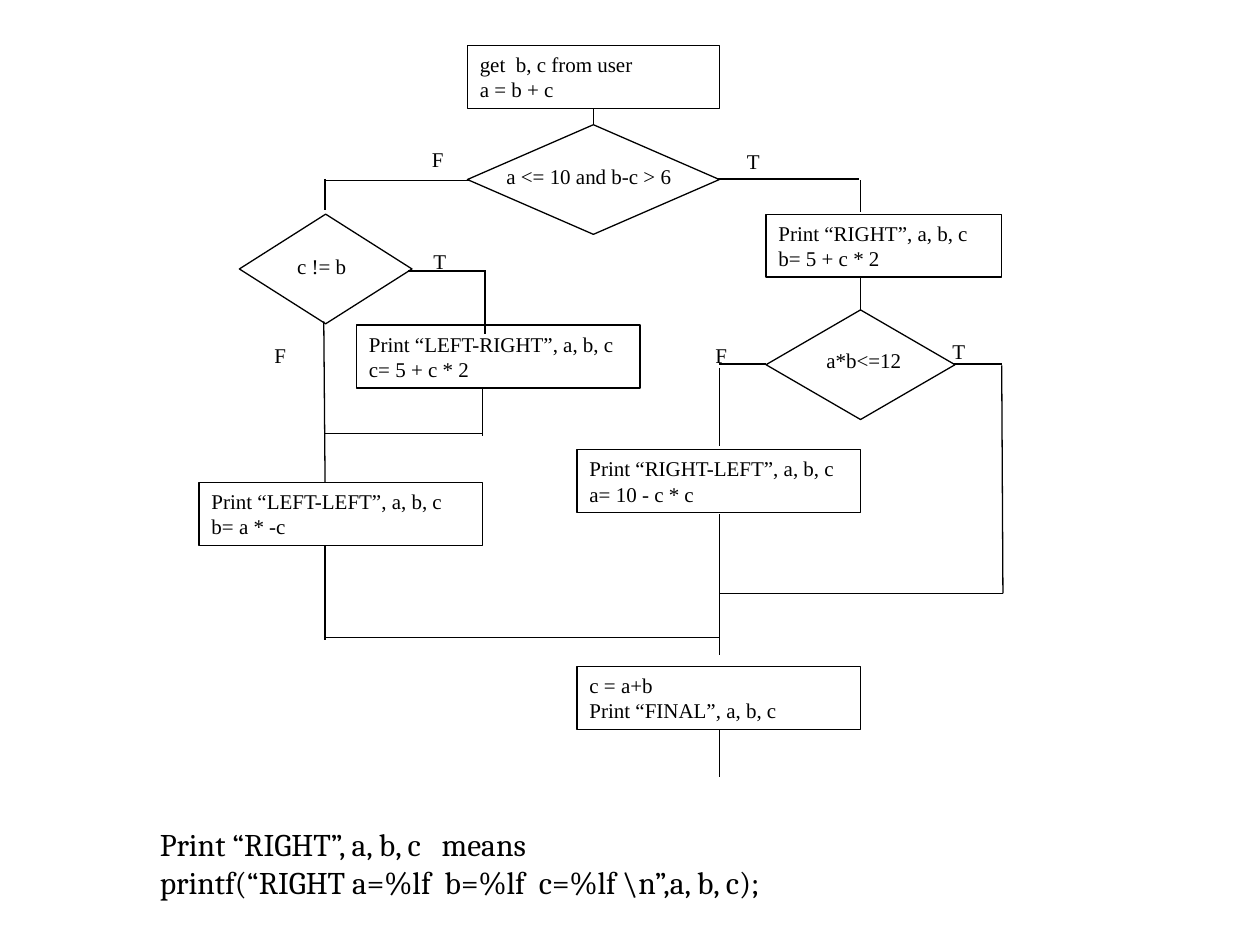
from pptx import Presentation
from pptx.dml.color import RGBColor
from pptx.enum.shapes import MSO_CONNECTOR as Connector, MSO_SHAPE as Shape
from pptx.enum.text import MSO_ANCHOR as Anchor, PP_ALIGN as Align
from pptx.util import Inches, Pt
from lxml import etree

COLORS = {"ink": "000000"}
BOX_HEIGHT = 0.5
DIAMOND_HEIGHT = 0.87

steps = [
    (3.71, 0.36, 2, ["get  b, c from user", "a = b + c"]),
    (6.08, 1.7, 1.87, ["Print “RIGHT”, a, b, c", "b= 5 + c * 2"]),
    (2.83, 2.58, 2.25, ["Print “LEFT-RIGHT”, a, b, c", "c= 5 + c * 2"]),
    (4.58, 3.57, 2.25, ["Print “RIGHT-LEFT”, a, b, c", "a= 10 - c * c"]),
    (1.58, 3.83, 2.25, ["Print “LEFT-LEFT”, a, b, c", "b= a * -c"]),
    (4.58, 5.29, 2.25, ["c = a+b", "Print “FINAL”, a, b, c"]),
]
decisions = [(3.71, 0.99, 2), (1.9, 1.7, 1.37), (6.08, 2.46, 1.5)]
labels = [
    (3.92, 1.25, 1.62, 0.5, "a <= 10 and b-c > 6"),
    (2.26, 1.96, 0.62, 0.37, "c != b"),
    (6.46, 2.71, 0.87, 0.37, "a*b<=12"),
    (3.33, 1.11, 0.37, 0.25, "F"),
    (5.83, 1.13, 0.5, 0.25, "T"),
    (2.08, 2.67, 0.5, 0.25, "F"),
    (3.34, 1.92, 0.49, 0.25, "T"),
    (5.58, 2.67, 0.5, 0.25, "F"),
    (7.46, 2.64, 0.5, 0.25, "T"),
]
lines = [
    (4.71, 0.99, 4.71, 0.86),
    (5.7, 1.42, 6.82, 1.42),
    (6.83, 1.43, 6.83, 1.68),
    (2.59, 1.43, 3.72, 1.43),
    (2.58, 1.42, 2.58, 1.67),
    (3.24, 2.15, 3.86, 2.15),
    (3.85, 2.15, 3.85, 2.65),
    (3.83, 3.08, 3.83, 3.46),
    (3.83, 3.44, 2.58, 3.44),
    (2.57, 2.55, 2.58, 3.83),
    (2.58, 4.33, 2.58, 5.08),
    (5.71, 5.06, 2.58, 5.06),
    (6.83, 2.21, 6.83, 2.46),
    (6.08, 2.89, 5.71, 2.89),
    (5.71, 2.92, 5.71, 3.54),
    (5.71, 4.08, 5.71, 4.7),
    (5.71, 4.7, 5.71, 5.2),
    (7.57, 2.89, 7.95, 2.89),
    (7.95, 2.9, 7.96, 4.71),
    (7.96, 4.71, 5.71, 4.71),
    (5.71, 5.79, 5.71, 6.17),
]
note = ["Print “RIGHT”, a, b, c   means",
        "printf(“RIGHT a=%lf  b=%lf  c=%lf \\n”,a, b, c);"]


def ink():
    return RGBColor.from_string(COLORS["ink"])


def write(shape, texts, size=12, font="Times New Roman"):
    frame = shape.text_frame
    frame.word_wrap = True
    frame.vertical_anchor = Anchor.TOP
    for index, text in enumerate(texts):
        para = frame.paragraphs[0] if index == 0 else frame.add_paragraph()
        para.text = text
        para.alignment = Align.LEFT
        para.font.size = Pt(size)
        para.font.name = font
        para.font.color.rgb = ink()


def outline(shape):
    shape.line.color.rgb = ink()
    shape.line.width = Pt(0.75)


def add_outlined(page, kind, left, top, width, height):
    shape = page.shapes.add_shape(kind, *map(Inches, (left, top, width, height)))
    shape.shadow.inherit = False
    shape.fill.background()
    outline(shape)
    return shape


def add_line(page, ends):
    line = page.shapes.add_connector(Connector.STRAIGHT, *map(Inches, ends))
    outline(line)
    etree.SubElement(
        line._element.spPr,
        "{http://schemas.openxmlformats.org/drawingml/2006/main}effectLst")


def add_text(page, left, top, width, height, texts, **style):
    box = page.shapes.add_textbox(*map(Inches, (left, top, width, height)))
    write(box, texts, **style)


def main():
    deck = Presentation()
    deck.slide_width, deck.slide_height = Inches(10), Inches(7.5)
    page = deck.slides.add_slide(deck.slide_layouts[6])
    for left, top, width, texts in steps:
        box = add_outlined(page, Shape.RECTANGLE, left, top, width, BOX_HEIGHT)
        write(box, texts)
    for left, top, width in decisions:
        add_outlined(page, Shape.FLOWCHART_DECISION, left, top, width, DIAMOND_HEIGHT)
    for ends in lines:
        add_line(page, ends)
    for left, top, width, height, text in labels:
        add_text(page, left, top, width, height, [text])
    add_text(page, 1.17, 6.5, 6.5, 0.7, note, size=18, font="Cambria")
    deck.save("out.pptx")


if __name__ == "__main__":
    main()
